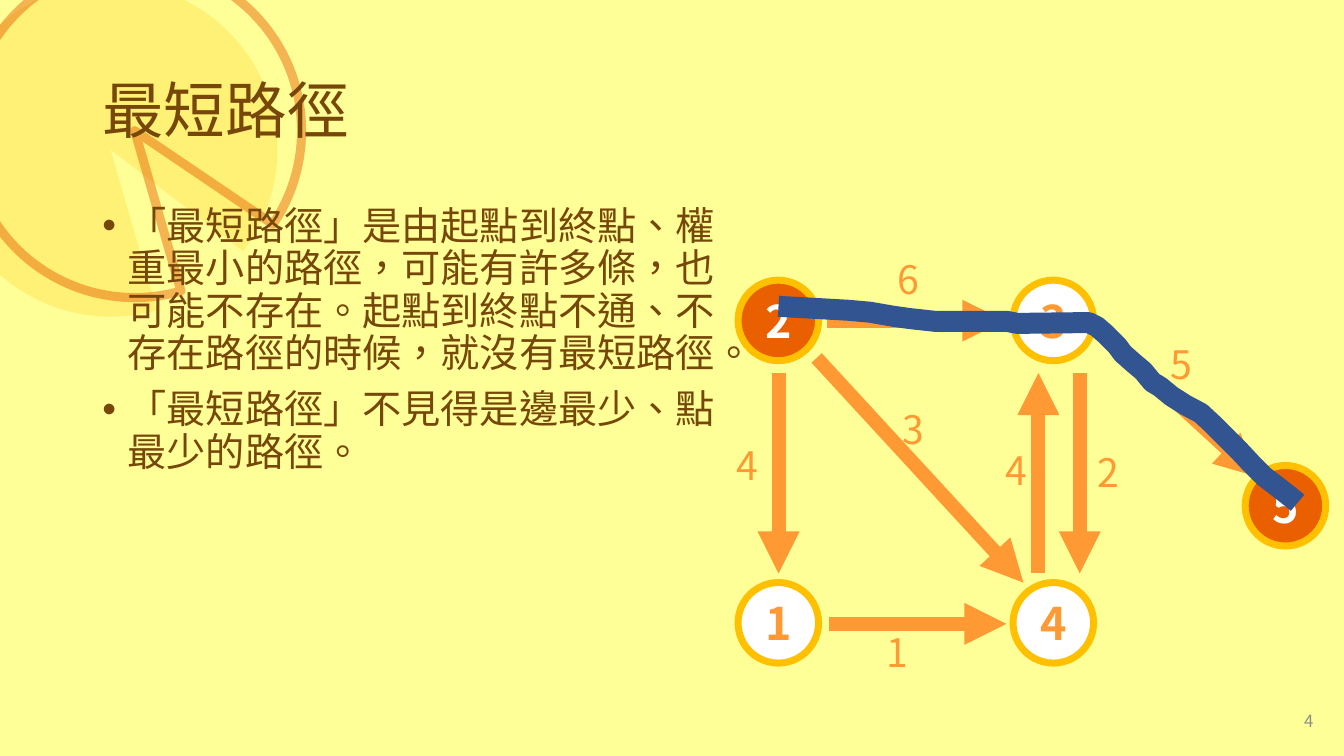
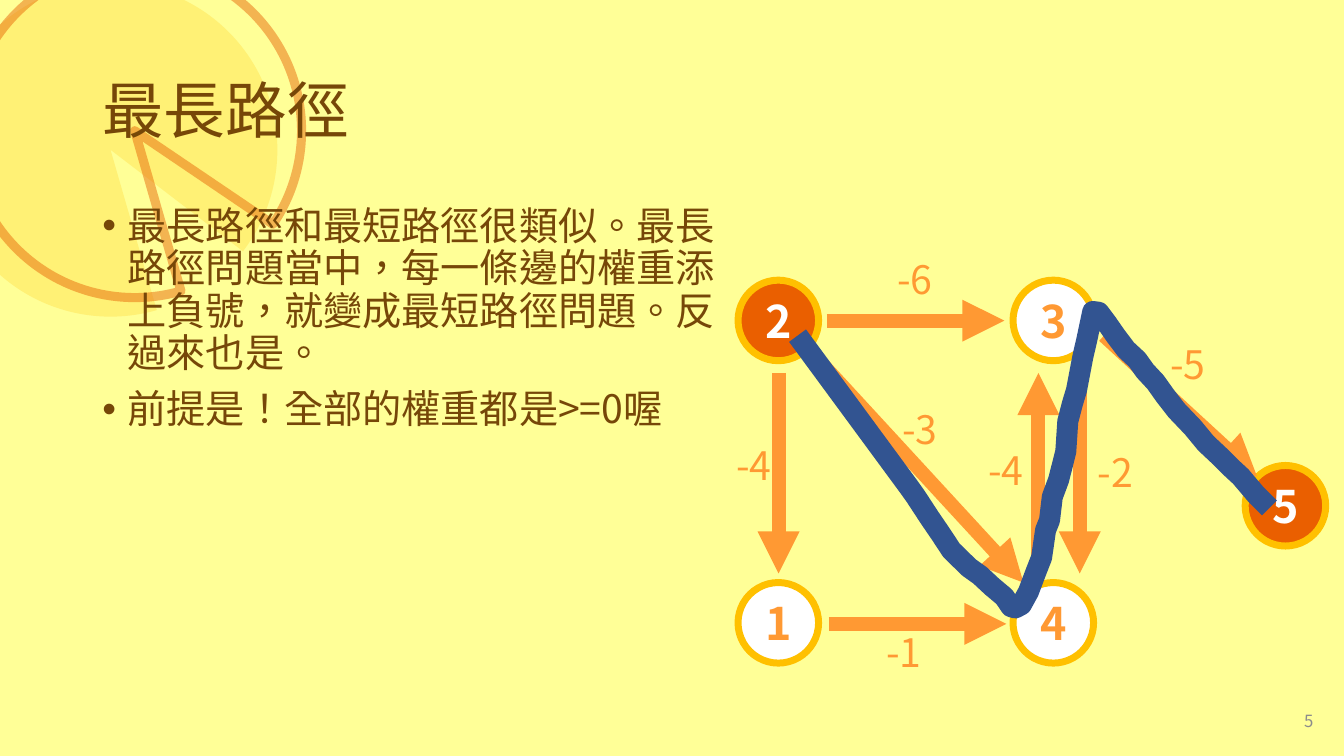
from dataclasses import dataclass

from lxml.etree import SubElement
from pptx import Presentation
from pptx.dml.color import RGBColor as RGB
from pptx.enum.shapes import MSO_CONNECTOR as Conn, MSO_SHAPE as Shape
from pptx.enum.text import MSO_ANCHOR as Anchor, PP_ALIGN as Align
from pptx.oxml.ns import qn
from pptx.util import Cm, Pt


@dataclass(frozen=True)
class Theme:
    paper: str = "FFFF97"
    ink: str = "764708"
    edge: str = "FF9933"
    ring: str = "FFC000"
    end: str = "EA5F00"
    accent: str = "E65D00"
    white: str = "FFFFFF"
    route: str = "325491"
    grey: str = "8C8C8C"
    font: str = "Noto Sans CJK SC"
    number_font: str = "Noto Sans CJK TC"
    title: int = 44
    node: int = 32
    body: int = 28
    number: int = 12
    pie_line: float = 6.5
    ring_line: int = 5
    edge_line: int = 10
    route_line: int = 15


T = Theme()
COLUMN, ROW, NODE = 6.93, 7.62, 2.03
NODES = [
    ("2", 0, 0, True),
    ("3", COLUMN, 0, False),
    ("1", 0, ROW, False),
    ("4", COLUMN, ROW, False),
    ("5", 12.78, 4.67, True),
]
# fields: weight, start, end, label corner, share of label width to the left
EDGES = [
    (4, (1.02, 2.34), (1.02, 7.39), (-0.3, 3.94), 0),
    (6, (2.24, 1.02), (6.71, 1.02), (3.76, -0.74), 0),
    (1, (2.29, 8.66), (6.76, 8.66), (3.48, 8.64), 0),
    (2, (8.61, 2.34), (8.61, 7.39), (8.81, 4.11), 0),
    (5, (9.22, 1.4), (13.08, 4.95), (10.64, 1.4), 0),
    (3, (1.98, 1.96), (7.19, 7.62), (3.89, 3.02), 0),
    (4, (7.57, 7.39), (7.57, 2.34), (7.57, 4.06), 1),
]
SHORTEST = [
    (1.02, 0.66), (2.79, 0.76), (3.33, 0.81), (3.91, 0.91), (4.34, 0.97),
    (4.98, 1.04), (6.78, 1.04), (7.04, 1.09), (8.84, 1.07), (9.04, 1.17),
    (9.25, 1.35), (9.55, 1.65), (9.7, 1.85), (9.96, 2.08), (10.21, 2.29),
    (10.44, 2.57), (10.64, 2.69), (10.92, 2.92), (11.28, 3.15),
    (11.66, 3.35), (11.94, 3.61), (12.34, 4.01), (12.65, 4.32),
    (12.93, 4.62), (13.26, 4.95), (13.56, 5.18), (13.92, 5.46), (14.1, 5.61),
]
LONGEST = [
    (1.5, 1.4), (4.32, 5.23), (4.47, 5.44), (4.83, 5.99), (5.11, 6.4),
    (5.38, 6.81), (5.82, 7.24), (6.1, 7.44), (6.4, 7.72), (6.71, 7.98),
    (6.88, 8.23), (6.99, 8.26), (7.14, 8.18), (7.32, 7.85), (7.52, 7.32),
    (7.65, 6.99), (7.75, 6.3), (7.85, 6.05), (7.92, 5.46), (8.08, 5.03),
    (8.26, 4.32), (8.31, 3.56), (8.43, 3.1), (8.53, 2.77), (8.69, 1.93),
    (8.79, 1.5), (8.94, 0.79), (9.09, 0.81), (9.3, 1.09), (9.53, 1.42),
    (9.78, 1.75), (10.06, 2.01), (10.26, 2.29), (10.52, 2.57),
    (10.77, 2.92), (11.05, 3.28), (11.46, 3.71), (11.79, 4.11),
    (12.12, 4.42), (12.4, 4.7), (12.67, 4.95), (13.06, 5.41), (13.39, 5.74),
]
SLIDES = [
    ("最短路徑", [
        "「最短路徑」是由起點到終點、權重最小的路徑，可能有許多條，也可能不存在。"
        "起點到終點不通、不存在路徑的時候，就沒有最短路徑。",
        "「最短路徑」不見得是邊最少、點最少的路徑。",
    ], 1, SHORTEST, 4),
    ("最長路徑", [
        "最長路徑和最短路徑很類似。最長路徑問題當中，每一條邊的權重添上負號，"
        "就變成最短路徑問題。反過來也是。",
        "前提是！全部的權重都是>=0喔",
    ], -1, LONGEST, 5),
]


def put(obj, values):
    for name, value in values.items():
        setattr(obj, name, value)


def paint(fill, color, alpha=None):
    fill.solid()
    fill.fore_color.rgb = RGB.from_string(color)
    if alpha:
        clr = fill._xPr.find(qn("a:solidFill"))[0]
        SubElement(clr, qn("a:alpha"), val=str(alpha * 1000))


def stroke(sp, color, width, alpha=None):
    sp.line.width = Pt(width)
    paint(sp.line.fill, color, alpha)


def write(p, text, color, size, font=T.font, bold=False, **layout):
    put(p, layout)
    r = p.add_run()
    r.text = text
    put(r.font, {"name": font, "size": Pt(size), "bold": bold})
    r.font.color.rgb = RGB.from_string(color)
    rpr = r._r.get_or_add_rPr()
    rpr.set("lang", "zh-TW")
    SubElement(rpr, qn("a:ea"), typeface=font)


def text_box(s, box, anchor=Anchor.TOP, wrap=True):
    tf = s.shapes.add_textbox(*map(Cm, box)).text_frame
    put(tf, {"word_wrap": wrap, "vertical_anchor": anchor})
    return tf


def add_backdrop(s):
    paint(s.background.fill, T.paper)
    for x, y, sweep, solid in ((-1.42, -0.43, 194.14, True),
                               (-0.81, -0.91, 192.12, False)):
        sp = s.shapes.add_shape(Shape.PIE, *map(Cm, (x, y, 8.41, 8.41)))
        sp.adjustments[0], sp.adjustments[1] = 0, sweep
        sp.rotation = 73.9
        sp.shadow.inherit = False
        if solid:
            paint(sp.fill, T.ring, 22)
            sp.line.fill.background()
        else:
            sp.fill.background()
            stroke(sp, T.accent, T.pie_line, 45)


def add_title(s, box, text):
    tf = text_box(s, box, Anchor.MIDDLE)
    write(tf.paragraphs[0], text, T.ink, T.title, line_spacing=0.9)


def add_bullets(s, box, items):
    tf = text_box(s, box)
    for i, item in enumerate(items):
        p = tf.add_paragraph() if i else tf.paragraphs[0]
        write(p, item, T.ink, T.body, line_spacing=0.9, space_before=Pt(10))
        ppr = p._p.get_or_add_pPr()
        indent = Cm(0.64)
        for name, value in {"marL": indent, "indent": -indent,
                            "hangingPunct": 1}.items():
            ppr.set(name, str(value))
        SubElement(ppr, qn("a:buFont"), typeface="Arial")
        SubElement(ppr, qn("a:buChar"), char="•")


def add_node(s, x, y, name, is_end):
    sp = s.shapes.add_shape(Shape.OVAL, *map(Cm, (x, y, NODE, NODE)))
    sp.shadow.inherit = False
    paint(sp.fill, T.end if is_end else T.white)
    stroke(sp, T.ring, T.ring_line)
    tf = sp.text_frame
    tf.vertical_anchor = Anchor.MIDDLE
    write(tf.paragraphs[0], name, T.white if is_end else T.edge, T.node,
          bold=True, alignment=Align.CENTER)


def add_arrow(s, start, end):
    sp = s.shapes.add_connector(Conn.STRAIGHT, *map(Cm, (*start, *end)))
    stroke(sp, T.edge, T.edge_line)
    SubElement(sp.line._get_or_add_ln(), qn("a:tailEnd"), type="triangle")
    SubElement(sp._element.spPr, qn("a:effectLst"))


def add_graph(s, left, top, sign):
    def at(point):
        return left + point[0], top + point[1]

    for name, x, y, is_end in NODES:
        add_node(s, *at((x, y)), name, is_end)
    for _, start, end, _, _ in EDGES:
        add_arrow(s, at(start), at(end))
    width = 1.09 if sign > 0 else 1.52
    for weight, _, _, corner, share in EDGES:
        x, y = at(corner)
        tf = text_box(s, (x - share * width, y, width, 1.45), wrap=False)
        write(tf.paragraphs[0], str(sign * weight), T.edge, T.body)


def add_route(s, left, top, points):
    first, *rest = [(Cm(left + x), Cm(top + y)) for x, y in points]
    fb = s.shapes.build_freeform(*first)
    fb.add_line_segments(rest, close=False)
    sp = fb.convert_to_shape()
    sp.shadow.inherit = False
    sp.fill.background()
    stroke(sp, T.route, T.route_line)


def add_number(s, box, number):
    tf = text_box(s, box, Anchor.MIDDLE)
    write(tf.paragraphs[0], str(number), T.grey, T.number, T.number_font,
          alignment=Align.RIGHT)


def add_path_slide(prs, title, items, sign, route, number):
    s = prs.slides.add_slide(prs.slide_layouts[6])
    add_backdrop(s)
    add_title(s, (2.33, 1.02, 29.21, 3.68), title)
    add_bullets(s, (2.33, 5.08, 15.95, 12.09), items)
    graph = 18.6, 7.06
    add_graph(s, *graph, sign)
    add_route(s, *graph, route)
    add_number(s, (25.73, 17.65, 7.62, 1.02), number)


def main():
    prs = Presentation()
    put(prs, {"slide_width": Cm(33.87), "slide_height": Cm(19.05)})
    for content in SLIDES:
        add_path_slide(prs, *content)
    prs.save("out.pptx")


if __name__ == "__main__":
    main()
